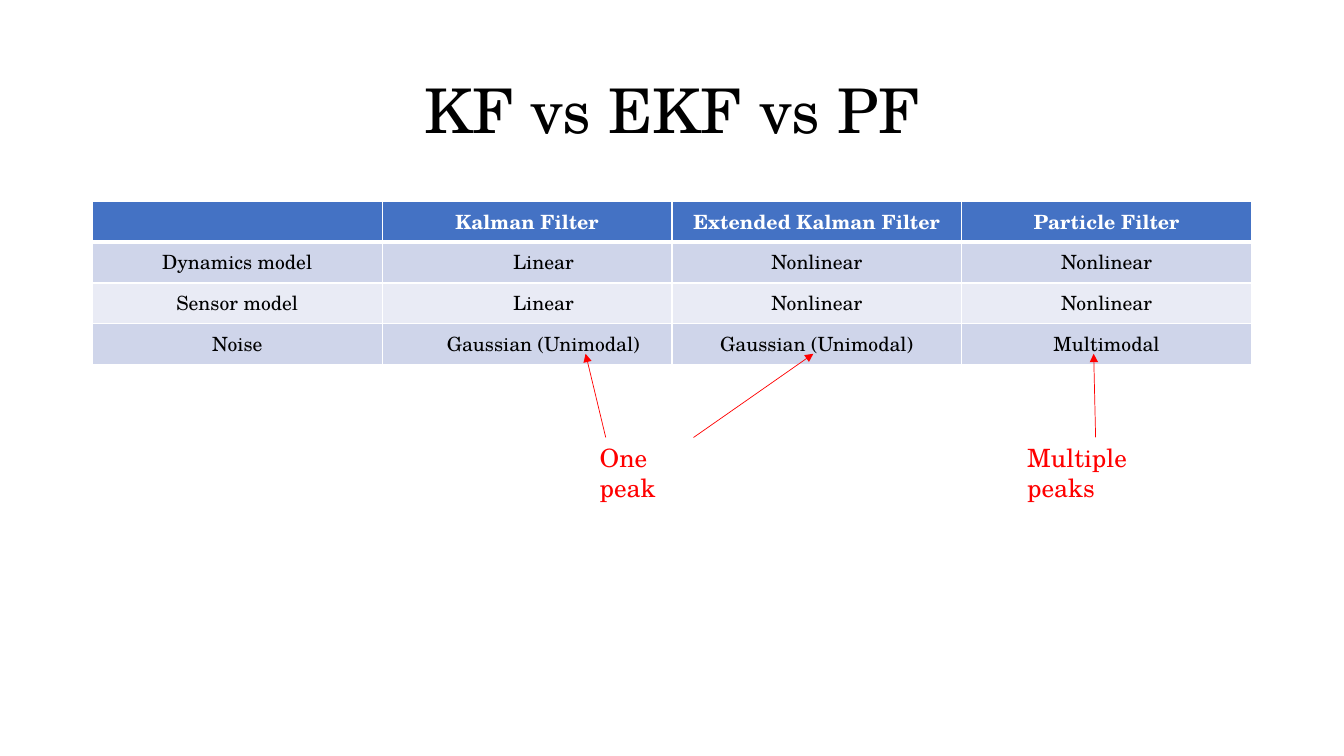
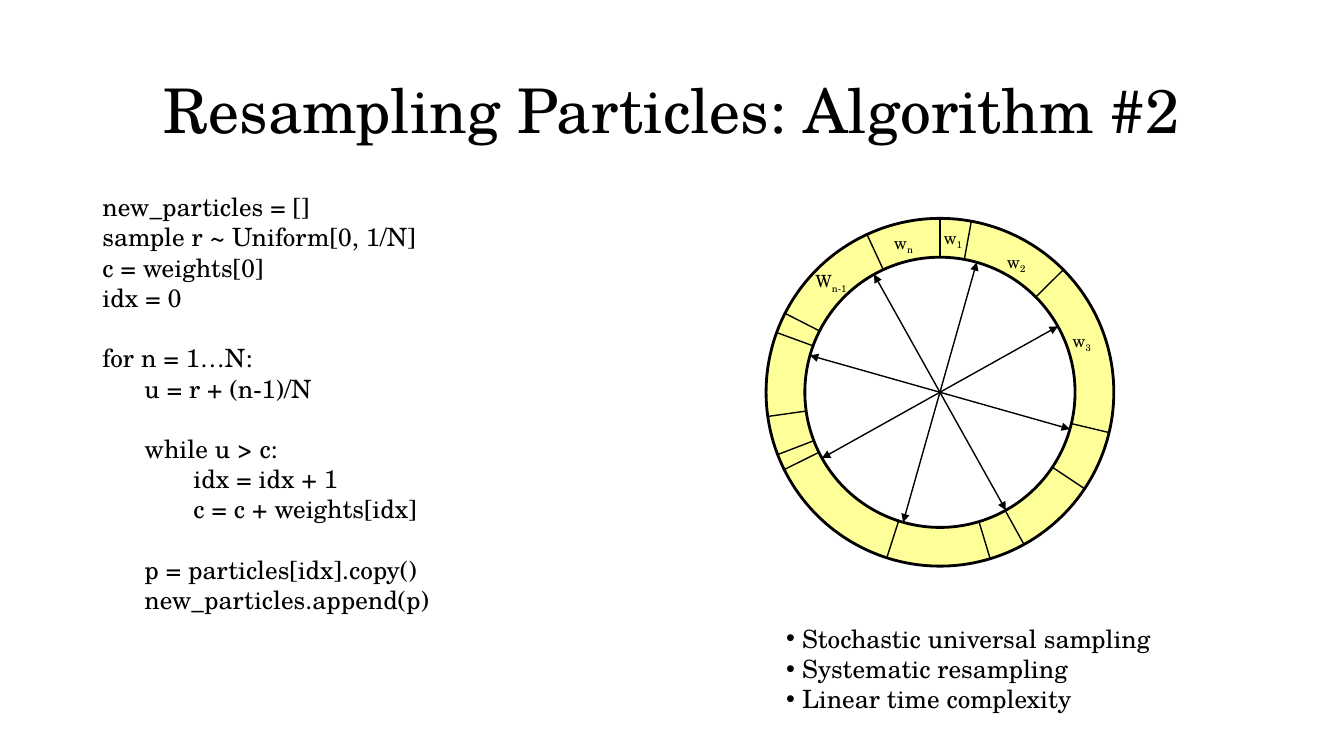
from math import cos, radians, sin

from lxml import etree
from pptx import Presentation
from pptx.dml.color import RGBColor
from pptx.enum import shapes, text
from pptx.oxml import ns
from pptx.util import Pt

# Shared style
FONT = "TeX Gyre Schola"
BLACK = RGBColor(0x00, 0x00, 0x00)
WHITE = RGBColor(0xFF, 0xFF, 0xFF)
RED = RGBColor(0xFF, 0x00, 0x00)
BLUE = RGBColor(0x44, 0x72, 0xC4)
BANDS = (RGBColor(0xCF, 0xD5, 0xEA), RGBColor(0xE9, 0xEB, 0xF5))
YELLOW = RGBColor(0xFF, 0xFF, 0x99)
TITLE_BOX = (66, 29, 828, 104)
TITLE_ONLY, TWO_PARTS = 5, 3

# Filter table
GRID = [
    ("", "Kalman Filter", "Extended Kalman Filter", "Particle Filter"),
    ("Dynamics model", "Linear", "Nonlinear", "Nonlinear"),
    ("Sensor model", "Linear", "Nonlinear", "Nonlinear"),
    ("Noise", "Gaussian (Unimodal)", "Gaussian (Unimodal)", "Multimodal"),
]
COL_W, ROW_H = 207, 29.2

# Code lines: text, left indent, starts a new block
CODE = [
    ("new_particles = []", 0, False),
    ("sample r ~ Uniform[0, 1/N]", 0, False),
    ("c = weights[0]", 0, False),
    ("idx = 0", 0, False),
    ("for n = 1…N:", 0, True),
    ("u = r + (n-1)/N", 30, False),
    ("while u > c:", 30, True),
    ("idx = idx + 1", 65, False),
    ("c = c + weights[idx]", 65, False),
    ("p = particles[idx].copy()", 30, True),
    ("new_particles.append(p)", 30, False),
]
LINE_H = 21.5
POINTS = ["Stochastic universal sampling", "Systematic resampling",
          "Linear time complexity"]

# Wheel: centre, radii, and clockwise angles from the top
MID_X, MID_Y = 671.4, 280.2
RIM, HUB = 124.2, 96.5
CUTS = (0, 10.4, 45.2, 103.4, 123.7, 151.1, 163.2, 197.8,
        243.6, 249, 262, 290.1, 297, 335.2)
FIRST, STEP = 15.8, 45
WEIGHTS = [("w", "1", 674, 159.1), ("w", "2", 719.3, 176.4),
           ("w", "3", 766.1, 232.6), ("w", "n", 638.6, 162.7),
           ("W", "n-1", 582.5, 190.1)]


def place(item, x, y, w, h):
    item.left, item.top, item.width, item.height = map(Pt, (x, y, w, h))


def style(para, size, color=BLACK, bold=False):
    for run in para.runs:
        font = run.font
        font.name, font.size, font.bold = FONT, Pt(size), bold
        font.color.rgb = color


def add_slide(deck, kind, title):
    slide = deck.slides.add_slide(deck.slide_layouts[kind])
    head = slide.shapes.title
    place(head, *TITLE_BOX)
    frame = head.text_frame
    frame.text = title
    frame.auto_size = text.MSO_AUTO_SIZE.NONE
    frame.vertical_anchor = text.MSO_ANCHOR.MIDDLE
    para = frame.paragraphs[0]
    para.alignment = text.PP_ALIGN.CENTER
    para.line_spacing = 0.9
    style(para, 44)
    return slide


def add_line(slide, start, end, color, width, ends=()):
    line = slide.shapes.add_connector(
        shapes.MSO_CONNECTOR.STRAIGHT, *map(Pt, (*start, *end)))
    line.line.color.rgb = color
    line.line.width = Pt(width)
    stroke = line.line._get_or_add_ln()
    for end_tag in ends:
        etree.SubElement(stroke, ns.qn(end_tag), type="triangle")
    etree.SubElement(line._element.spPr, ns.qn("a:effectLst"))


def add_note(slide, words, x, y, w, h, size, color=BLACK, sub=""):
    frame = slide.shapes.add_textbox(*map(Pt, (x, y, w, h))).text_frame
    frame.word_wrap = True
    frame.margin_left = frame.margin_right = 0
    para = frame.paragraphs[0]
    para.text = words
    if sub:
        run = para.add_run()
        run.text = sub
        run._r.get_or_add_rPr().set("baseline", "-25000")
    style(para, size, color)


def add_disk(slide, radius, color):
    disk = slide.shapes.add_shape(
        shapes.MSO_SHAPE.OVAL,
        *map(Pt, (MID_X - radius, MID_Y - radius, 2 * radius, 2 * radius)))
    disk.shadow.inherit = False
    disk.fill.solid()
    disk.fill.fore_color.rgb = color
    disk.line.color.rgb = BLACK
    disk.line.width = Pt(2)


def fill_body(body, box, lines, hang=0):
    """Lines are (text, indent, new block); a hang keeps the bullets."""
    place(body, *box)
    frame = body.text_frame
    frame.text = "\n".join(words for words, _, _ in lines)
    frame.auto_size = text.MSO_AUTO_SIZE.NONE
    frame.vertical_anchor = text.MSO_ANCHOR.TOP
    for para, (_, left, gap) in zip(frame.paragraphs, lines):
        para.space_before = Pt(LINE_H if gap else 0)
        para.alignment = text.PP_ALIGN.LEFT
        props = para._p.get_or_add_pPr()
        props.set("marL", str(Pt(left + hang)))
        props.set("indent", str(Pt(-hang)))
        if not hang:
            etree.SubElement(props, ns.qn("a:buNone"))
        style(para, 18)


def add_edges(cell, low):
    props = cell._tc.get_or_add_tcPr()
    for tag, width in (("lnL", 1), ("lnR", 1), ("lnT", 1), ("lnB", low)):
        edge = etree.SubElement(props, ns.qn("a:" + tag), w=str(Pt(width)))
        fill = etree.SubElement(edge, ns.qn("a:solidFill"))
        etree.SubElement(fill, ns.qn("a:srgbClr"), val=str(WHITE))


def add_grid(slide, x, y):
    rows, cols = len(GRID), len(GRID[0])
    table = slide.shapes.add_table(
        rows, cols, *map(Pt, (x, y, cols * COL_W, rows * ROW_H))).table
    for r, row in enumerate(GRID):
        for c, words in enumerate(row):
            cell = table.cell(r, c)
            add_edges(cell, 1 if r else 3)
            cell.fill.solid()
            cell.fill.fore_color.rgb = BANDS[(r - 1) % 2] if r else BLUE
            if r and c == 1:
                cell.margin_left = Pt(30.6)
            para = cell.text_frame.paragraphs[0]
            para.text = words
            para.alignment = text.PP_ALIGN.CENTER
            style(para, 14, BLACK if r else WHITE, not r)


def spot(angle, radius):
    turn = radians(angle)
    return MID_X + radius * sin(turn), MID_Y - radius * cos(turn)


def add_wheel(slide):
    add_disk(slide, RIM, YELLOW)
    for angle in CUTS:
        add_line(slide, (MID_X, MID_Y), spot(angle, RIM), BLACK, 1)
    for words, sub, x, y in WEIGHTS:
        add_note(slide, words, x, y, 36, 20, 12, sub=sub)
    add_disk(slide, HUB, WHITE)
    for k in range(4):
        angle = FIRST + k * STEP
        add_line(slide, spot(angle, HUB), spot(angle + 180, HUB), BLACK, 1,
                 ("a:headEnd", "a:tailEnd"))


def add_table_slide(deck):
    slide = add_slide(deck, TITLE_ONLY, "KF vs EKF vs PF")
    add_grid(slide, 66, 143.7)
    low, high = 312.5, 252.7
    for words, x, w in (("One peak", 428.4, 75), ("Multiple peaks", 733.7, 118)):
        add_note(slide, words, x, low, w, 50, 18, RED)
    for start, end in ((432.7, 418.3), (495.4, 581), (782.6, 781.2)):
        add_line(slide, (start, low), (end, high), RED, 0.5, ("a:tailEnd",))


def add_code_slide(deck):
    slide = add_slide(deck, TWO_PARTS, "Resampling Particles: Algorithm #2")
    code, notes = list(slide.placeholders)[1:3]
    fill_body(code, (66, 133.2, 300, 312), CODE)
    fill_body(notes, (554.4, 441.4, 390, 73),
              [(words, 0, False) for words in POINTS], hang=11.3)
    add_wheel(slide)


def main():
    deck = Presentation()
    deck.slide_width, deck.slide_height = Pt(960), Pt(540)
    add_table_slide(deck)
    add_code_slide(deck)
    deck.save("out.pptx")


if __name__ == "__main__":
    main()
